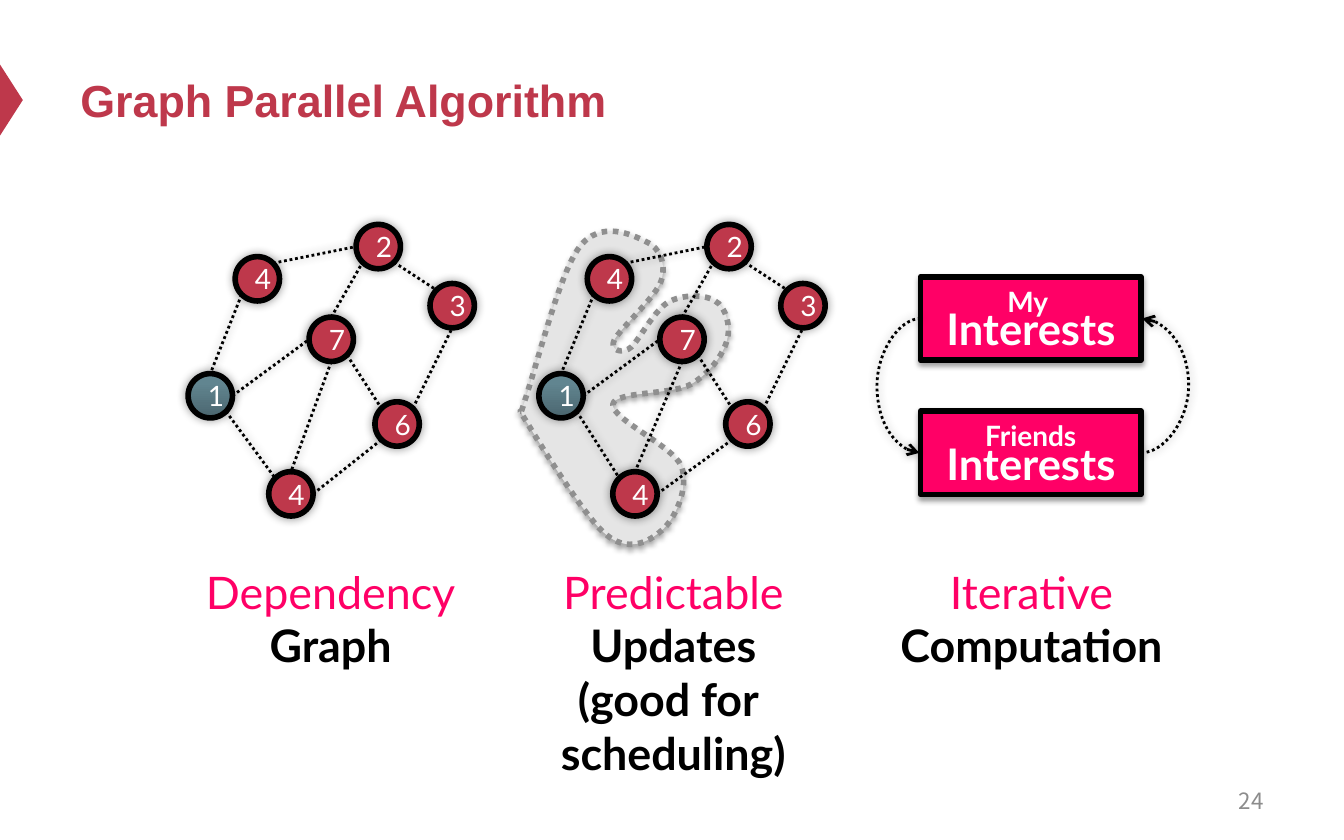
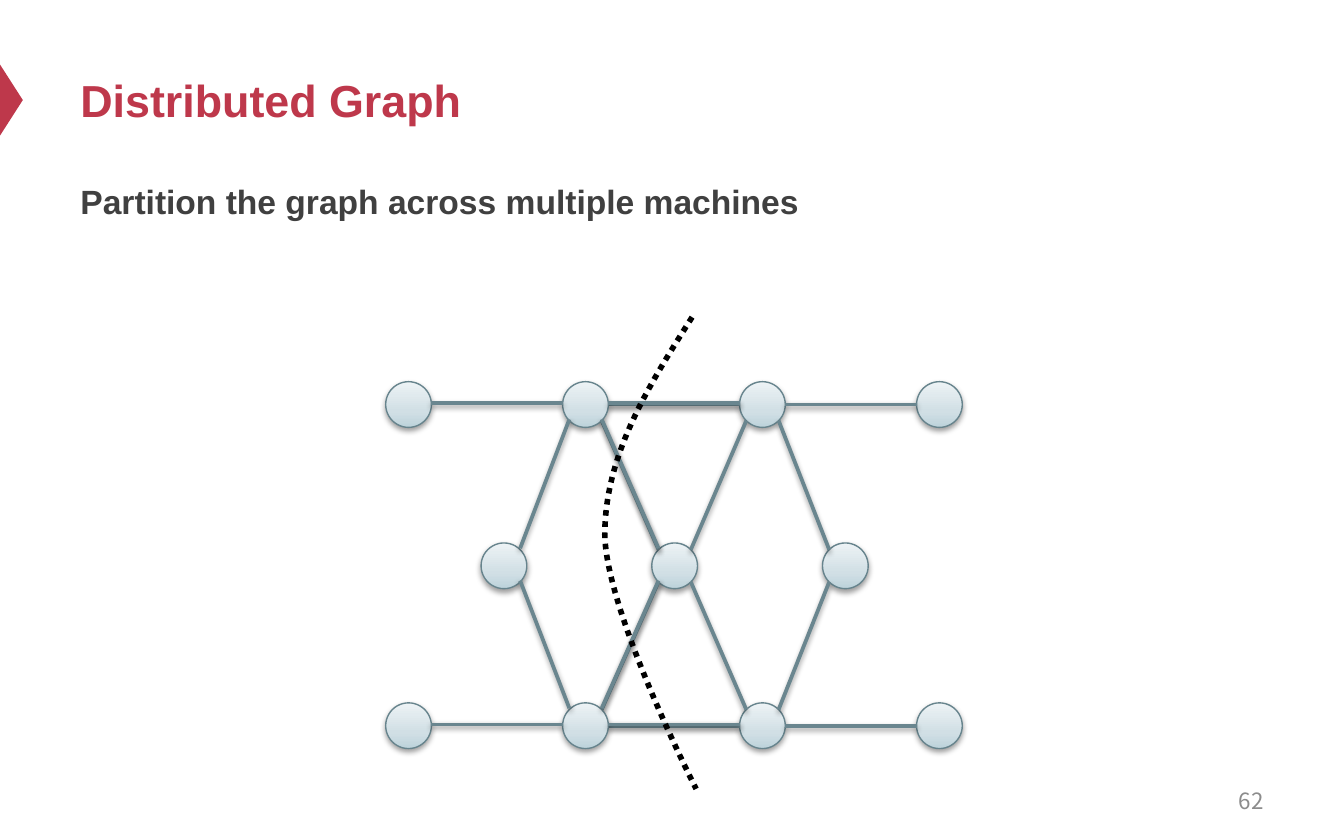
from copy import deepcopy
from math import cos, radians, sin

from lxml import etree
from pptx import Presentation
from pptx.dml.color import RGBColor
from pptx.enum import dml, shapes as kinds, text
from pptx.oxml.ns import qn
from pptx.util import Inches, Pt

HUES = {"red": "BE384B", "pink": "FF0066", "black": "000000", "white": "FFFFFF",
        "dark": "404040", "gray": "8C8C8C", "blob": "E5E5E5", "rim": "8F8F8F",
        "edge": "6A868F", "ring": "67848D"}
TEAL = [(0, "4B666F"), (80, "618590"), (100, "618692")]
PALE = [(0, "BDD3DB"), (35, "D1DFE5"), (100, "EDF3F5")]
# Shadows: opacity %, blur pt, distance pt
GLOW, DROP, SOFT = (40, 5, 0), (38, 3.1, 1.6), (35, 3.1, 1.8)
LEFT, MID, RIGHT = text.PP_ALIGN.LEFT, text.PP_ALIGN.CENTER, text.PP_ALIGN.RIGHT
DOTS = dml.MSO_LINE.ROUND_DOT

# Dependency graph: node -> label, left, top
NODES = {"a": ("4", 1.75, 1.91), "c": ("3", 3.2, 2.11), "b": ("2", 2.65, 1.67),
         "d": ("1", 1.4, 2.78), "e": ("6", 2.79, 2.99), "f": ("7", 2.3, 2.36),
         "g": ("4", 2, 3.51)}
# Edges: node, site, node, site; sites run counter-clockwise from the top
EDGES = [("a", 7, "b", 2), ("d", 6, "f", 2), ("a", 3, "d", 0), ("f", 0, "b", 3),
         ("b", 5, "c", 1), ("e", 7, "c", 4), ("f", 5, "e", 1), ("d", 5, "g", 1),
         ("f", 4, "g", 0), ("g", 6, "e", 3)]
SHIFT = 2.61
NUDGE = {"a": 0.01, "g": -0.05}
# Curves: frame, then the start and three points for each cubic
SCOPE = ((3.87, 1.72, 1.55, 2.33), [
    (3.88, 3.06),
    (4.03, 2.6), (4.16, 2.05), (4.31, 1.84), (4.47, 1.63), (4.71, 1.75), (4.81, 1.8),
    (4.91, 1.84), (4.96, 1.97), (4.92, 2.09), (4.88, 2.21), (4.61, 2.45), (4.57, 2.53),
    (4.53, 2.61), (4.64, 2.64), (4.7, 2.58), (4.76, 2.52), (4.87, 2.31), (4.97, 2.25),
    (5.07, 2.19), (5.25, 2.19), (5.32, 2.24), (5.4, 2.28), (5.44, 2.43), (5.41, 2.53),
    (5.38, 2.64), (5.28, 2.78), (5.14, 2.86), (5, 2.94), (4.57, 2.91), (4.56, 3.01),
    (4.55, 3.12), (5.01, 3.32), (5.07, 3.47), (5.13, 3.63), (5.02, 3.87), (4.92, 3.95),
    (4.83, 4.03), (4.67, 4.12), (4.5, 3.97), (4.32, 3.82), (3.87, 3.06), (3.87, 3.06)])
CUT = ((4.5, 2.36, 0.68, 3.51), [
    (5.15, 2.36), (4.82, 2.88), (4.5, 3.39), (4.5, 3.98),
    (4.51, 4.56), (5.18, 5.87), (5.18, 5.87)])

# Captions: box, then paragraphs of (text, size, colour, bold) parts
CAPS = [((6.59, 4.15, 2.17, 0.91), [[("Iterative", 24, "pink", False)],
                                    [("Computation", 24, "black", True)]]),
        ((1.4, 4.15, 2.12, 0.91), [[("Dependency", 24, "pink", False)],
                                   [("Graph", 24, "black", True)]]),
        ((4.04, 4.15, 1.94, 1.72), [[("Predictable", 24, "pink", False),
                                     ("Updates", 24, "black", True)],
                                    [("(good for ", 24, "black", True)],
                                    [("scheduling)", 24, "black", True)]])]
CARDS = [("My ", 2.06), ("Friends", 3.06)]
# Loops: left, rotation, reach of the bend
LOOPS = [(6.84, 180, 0.33), (8.49, 0, 0.36)]

# Partitioned graph, by row: first left, last left, count, top
ROWS = {"t": (2.87, 6.82, 4, 2.84), "m": (3.58, 6.12, 3, 4.04), "b": (2.87, 6.82, 4, 5.23)}
# Middle node, outer column, sites upwards, sites downwards
SPANS = [(0, 1, (7, 3), (5, 1)), (1, 1, (1, 5), (3, 7)),
         (1, 2, (7, 3), (5, 1)), (2, 2, (1, 5), (3, 7))]
# Each machine's nodes
PARTS = [("m1", "m2", "b3", "b2", "t3", "t2"), ("m0", "b1", "b0", "t1", "t0")]


def rgb(name):
    return RGBColor.from_string(HUES[name])


def box(*sides):
    return [Inches(s) for s in sides]


def sub(node, tag, **attrs):
    return etree.SubElement(node, qn(tag), {k: str(v) for k, v in attrs.items()})


def shade(shape, look=None):
    """Give the shape an outer shadow, or none at all."""
    fx = sub(shape.element.spPr, "a:effectLst")
    if look:
        alpha, blur, dist = look
        cast = sub(fx, "a:outerShdw", blurRad=Pt(blur), dist=Pt(dist), dir=5400000,
                   rotWithShape=0)
        tint = sub(cast, "a:srgbClr", val=HUES["black"])
        sub(tint, "a:alpha", val=alpha * 1000)


def ink(shape, hue, width, dash=None):
    shape.line.color.rgb = rgb(hue)
    shape.line.width = Pt(width)
    if dash:
        shape.line.dash_style = dash


def paint(shape, fill, line=None, width=0, look=None, dash=None):
    """Set fill (name, list of stops or None), outline and shadow."""
    if isinstance(fill, list):
        shape.fill.gradient()
        shape.fill.gradient_angle = 90
        stops = shape.element.spPr.find(".//" + qn("a:gsLst"))
        for old in list(stops):
            stops.remove(old)
        for pos, hue in fill:
            sub(sub(stops, "a:gs", pos=pos * 1000), "a:srgbClr", val=hue)
    elif fill:
        shape.fill.solid()
        shape.fill.fore_color.rgb = rgb(fill)
    else:
        shape.fill.background()
    if line:
        ink(shape, line, width, dash)
    else:
        shape.line.fill.background()
    shade(shape, look)


def write(frame, paras, font, align, space=None):
    """Fill a frame; the parts of one paragraph are split by line breaks."""
    for i, parts in enumerate(paras):
        para = frame.paragraphs[0] if i == 0 else frame.add_paragraph()
        para.text = "\v".join(part[0] for part in parts)
        para.alignment = align
        if space:
            para.line_spacing = space
        for run, (_, size, hue, bold) in zip(para.runs, parts):
            run.font.name, run.font.size, run.font.bold = font, Pt(size), bold
            run.font.color.rgb = rgb(hue)
        for gap in para._p.findall(qn("a:br")):
            gap.append(deepcopy(para.runs[0]._r.rPr))


def label(slide, place, paras, font, align, anchor="TOP", wrap=True, space=None):
    frame = slide.shapes.add_textbox(*box(*place)).text_frame
    frame.word_wrap = wrap
    frame.vertical_anchor = text.MSO_ANCHOR[anchor]
    write(frame, paras, font, align, space)


def start(deck, title, number):
    """Add a slide with the marker, title and page number."""
    slide = deck.slides.add_slide(deck.slide_layouts[6])
    mark = slide.shapes.add_shape(kinds.MSO_SHAPE.PENTAGON, *box(0, 0.48, 0.17, 0.53))
    mark.adjustments[0] = 1
    paint(mark, "red")
    label(slide, (0.5, 0.25, 9, 0.98), [[(title, 24, "red", True)]], "Arial", LEFT, "MIDDLE")
    label(slide, (7.17, 5.79, 2.33, 0.33), [[(number, 12, "gray", False)]],
          "Noto Sans CJK SC", RIGHT, "MIDDLE")
    return slide


def dot(group, spot, size, *style):
    node = group.add_shape(kinds.MSO_SHAPE.OVAL, *box(*spot, size, size))
    paint(node, *style)
    return node


def site(spot, size, i):
    """Point on a node's rim, in steps of 45 degrees."""
    turn, half = radians(90 + 45 * i), size / 2
    return spot[0] + half + half * cos(turn), spot[1] + half - half * sin(turn)


def wire(group, spots, edges, size, look, *pen):
    for one, i, two, j in edges:
        ends = site(spots[one], size, i) + site(spots[two], size, j)
        line = group.add_connector(kinds.MSO_CONNECTOR.STRAIGHT, *box(*ends))
        ink(line, *pen)
        shade(line, look)


def curve(group, frame, pts, close, *style):
    """Draw a chain of cubic curves inside a frame."""
    left, top, wide, high = frame
    pen = group.build_freeform(*box(*pts[0]))
    pen.add_line_segments([box(*p) for p in pts[3::3]], close=close)
    shape = pen.convert_to_shape()
    shape.left, shape.top, shape.width, shape.height = box(*frame)
    route = shape.element.spPr.find(".//" + qn("a:path"))
    for old in list(route):
        route.remove(old)
    route.set("w", str(Inches(wide)))
    route.set("h", str(Inches(high)))
    for k in range(0, len(pts), 3):
        step = sub(route, "a:cubicBezTo" if k else "a:moveTo")
        for x, y in pts[max(k - 2, 0):k + 1]:
            sub(step, "a:pt", x=Inches(x - left), y=Inches(y - top))
    if close:
        sub(route, "a:close")
    paint(shape, *style)


def web(group, spots):
    wire(group, spots, EDGES, 0.33, GLOW, "black", 1.5, DOTS)
    for key, (name, _, _) in NODES.items():
        node = dot(group, spots[key], 0.33, TEAL if key == "d" else "red", "black", 3, GLOW)
        write(node.text_frame, [[(name, 15, "white", False)]], "Lato", MID)


def cycle(group):
    for name, top in CARDS:
        card = group.add_shape(kinds.MSO_SHAPE.RECTANGLE, *box(6.85, top, 1.64, 0.62))
        paint(card, "pink", "black", 3, DROP)
        frame = card.text_frame
        frame.word_wrap = False
        frame.margin_left = frame.margin_right = frame.margin_bottom = 0
        frame.margin_top = Inches(0.07)
        write(frame, [[(name, 15, "white", True), ("Interests", 23.3, "white", True)]],
              "Lato", MID, 0.7)
    for left, turn, reach in LOOPS:
        loop = group.add_connector(kinds.MSO_CONNECTOR.CURVE,
                                   *box(left, 3.37, left + 0.01, 2.37))
        ink(loop, "black", 1.5, DOTS)
        shape_pr = loop.element.spPr
        sub(shape_pr.find(qn("a:ln")), "a:tailEnd", type="arrow")
        shade(loop, GLOW)
        shape_pr.find(qn("a:xfrm")).set("rot", str(turn * 60000))
        sub(shape_pr.find(".//" + qn("a:avLst")), "a:gd", name="adj1",
            fmla=f"val {round(reach / 0.01 * 100000)}")


def parallel(deck):
    slide = start(deck, "Graph Parallel Algorithm", "24")
    base = {key: (x, y) for key, (_, x, y) in NODES.items()}
    web(slide.shapes.add_group_shape().shapes, base)
    group = slide.shapes.add_group_shape().shapes
    curve(group, *SCOPE, True, "blob", "rim", 3, SOFT, DOTS)
    web(group, {k: (x + SHIFT + NUDGE.get(k, 0), y) for k, (x, y) in base.items()})
    cycle(slide.shapes.add_group_shape().shapes)
    for place, paras in CAPS:
        label(slide, place, paras, "Lato", MID, wrap=False)


def split(deck):
    slide = start(deck, "Distributed Graph", "62")
    label(slide, (0.5, 1.24, 9, 4.12),
          [[("Partition the graph across multiple machines", 18, "dark", True)]],
          "Arial", LEFT, space=1.2)
    spots = {f"{row}{i}": (first + (last - first) / (count - 1) * i, top)
             for row, (first, last, count, top) in ROWS.items() for i in range(count)}
    edges = [(f"{row}{i}", 6, f"{row}{i + 1}", 2) for row in "tb" for i in range(3)]
    for mid, col, up, down in SPANS:
        edges += [(f"m{mid}", ends[0], f"{row}{col}", ends[1])
                  for row, ends in (("t", up), ("b", down))]
    # Each machine keeps every edge that touches its nodes, so cut edges appear in both
    for n, part in enumerate(PARTS):
        group = slide.shapes.add_group_shape().shapes
        for key in part:
            dot(group, spots[key], 0.34, PALE, "ring", 0.75, DROP)
        places = {k: (x, y - 0.01 * n) for k, (x, y) in spots.items()}
        kept = [e for e in edges if e[0] in part or e[2] in part]
        wire(group, places, kept, 0.34, DROP, "edge", 2)
    curve(slide.shapes, *CUT, False, None, "black", 3, None, DOTS)


def main():
    deck = Presentation()
    deck.slide_width, deck.slide_height = box(10, 6.25)
    parallel(deck)
    split(deck)
    deck.save("out.pptx")


if __name__ == "__main__":
    main()
